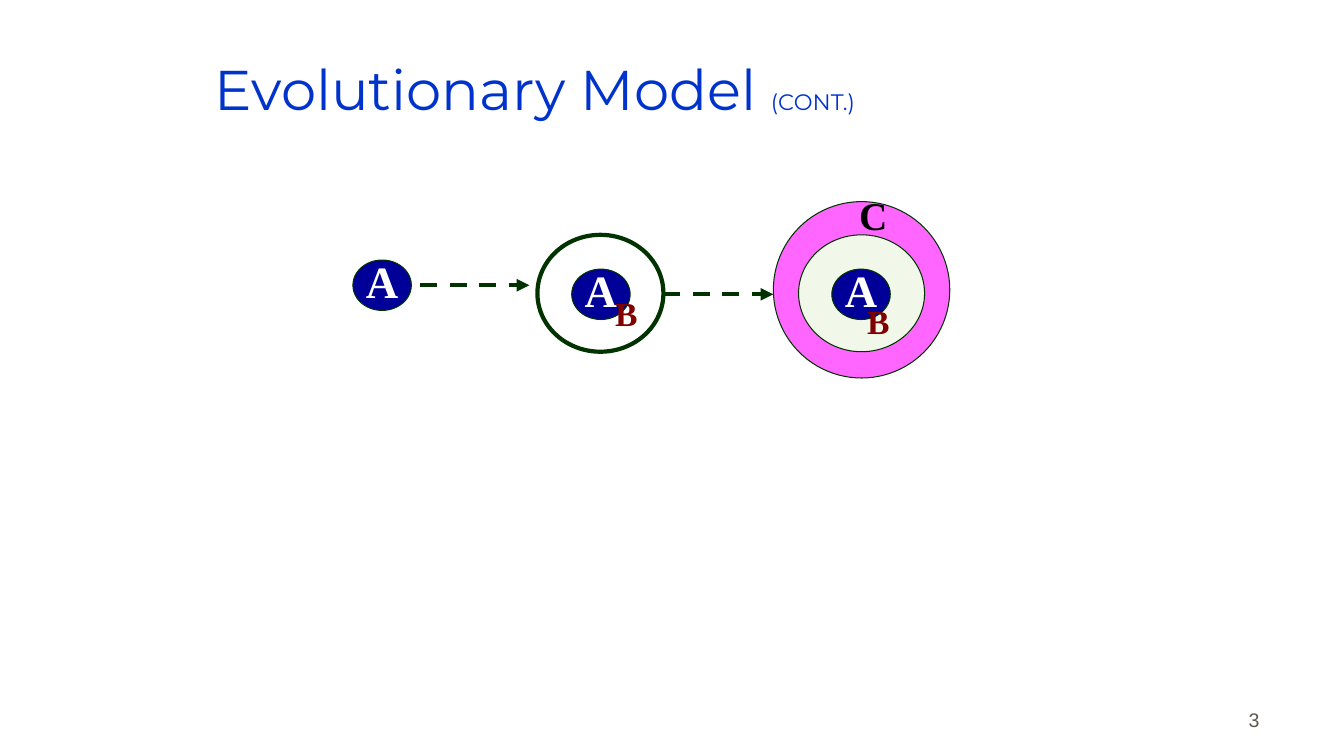
from lxml.etree import SubElement
from pptx import Presentation
from pptx.dml.color import RGBColor
from pptx.enum.dml import MSO_LINE
from pptx.enum.shapes import MSO_CONNECTOR, MSO_SHAPE
from pptx.enum.text import MSO_ANCHOR, MSO_AUTO_SIZE, PP_ALIGN
from pptx.oxml.ns import qn
from pptx.util import Inches, Pt

BLUE = RGBColor(0x00, 0x33, 0xCC)
NAVY = RGBColor(0x00, 0x00, 0x99)
GREEN = RGBColor(0x00, 0x33, 0x00)
PINK = RGBColor(0xFF, 0x66, 0xFF)
CREAM = RGBColor(0xF1, 0xF7, 0xE9)
RED = RGBColor(0x80, 0x00, 0x00)
GRAY = RGBColor(0x5E, 0x57, 0x4E)
BLACK = RGBColor(0x00, 0x00, 0x00)
WHITE = RGBColor(0xFF, 0xFF, 0xFF)

HEAD = "Montserrat"
SANS = "Arial"
SERIF = "Times New Roman"


class Board:
    """Holds the slide and the style of its parts."""

    def __init__(self, deck):
        self.slide = deck.slides.add_slide(deck.slide_layouts[5])
        self.shapes = self.slide.shapes
        self.frame = dict(word_wrap=True, auto_size=MSO_AUTO_SIZE.NONE,
                          margin_left=Inches(0.02), margin_right=Inches(0.02),
                          margin_top=Inches(0.05), margin_bottom=Inches(0.05))

    def letter(self, shape, runs, name, color, bold=False,
               side=PP_ALIGN.LEFT, space=1.0, **extra):
        for key, value in {**self.frame, **extra}.items():
            setattr(shape.text_frame, key, value)
        para = shape.text_frame.paragraphs[0]
        para.alignment, para.line_spacing = side, space
        for text, size in runs:
            run = para.add_run()
            run.text = text
            style = dict(name=name, size=Pt(size), bold=bold)
            for key, value in style.items():
                setattr(run.font, key, value)
            run.font.color.rgb = color

    def title(self, box, runs):
        shape = self.shapes.title
        for key, value in zip(("left", "top", "width", "height"), box):
            setattr(shape, key, Inches(value))
        self.letter(shape, runs, HEAD, BLUE,
                    vertical_anchor=MSO_ANCHOR.MIDDLE)

    def label(self, box, text, size, color, name=SERIF, **style):
        shape = self.shapes.add_textbox(*map(Inches, box))
        self.letter(shape, [(text, size)], name, color, **style)

    def ring(self, box, fill=None, width=0.75):
        shape = self.shapes.add_shape(MSO_SHAPE.OVAL, *map(Inches, box))
        shape.shadow.inherit = False
        if fill is None:
            shape.fill.background()
        else:
            shape.fill.solid()
            shape.fill.fore_color.rgb = fill
        shape.line.color.rgb = GREEN
        shape.line.width = Pt(width)
        return shape

    def core(self, left, top):
        shape = self.ring((left, top, 0.58, 0.5), NAVY)
        self.letter(shape, [("A", 32)], SERIF, WHITE, bold=True,
                    side=PP_ALIGN.CENTER, space=0.85,
                    vertical_anchor=MSO_ANCHOR.MIDDLE)

    def arrow(self, start, end, top):
        link = self.shapes.add_connector(
            MSO_CONNECTOR.STRAIGHT, *map(Inches, (start, top, end, top)))
        style = dict(width=Pt(3), dash_style=MSO_LINE.DASH)
        link.line.color.rgb = GREEN
        for key, value in style.items():
            setattr(link.line, key, value)
        props = link._element.spPr
        SubElement(props.find(qn("a:ln")), qn("a:tailEnd"), type="triangle")
        SubElement(props, qn("a:effectLst"))


def main():
    deck = Presentation()
    deck.slide_width, deck.slide_height = Inches(13.33), Inches(7.5)
    board = Board(deck)

    # Title and page number
    board.title((2.11, 0.25, 8.5, 1.25),
                [("Evolutionary Model ", 40), ("(CONT.)", 16)])
    board.label((9.81, 6.81, 2.78, 0.5), "3", 14, GRAY, SANS,
                side=PP_ALIGN.RIGHT, vertical_anchor=MSO_ANCHOR.BOTTOM,
                margin_right=Inches(0.1))

    # Rings of the second and third versions
    board.ring((7.67, 2, 1.75, 1.75), PINK)
    board.ring((7.92, 2.33, 1.25, 1.16), CREAM)
    board.ring((5.33, 2.33, 1.25, 1.16), width=3)

    # Arrows between versions
    board.arrow(4.17, 5.25, 2.83)
    board.arrow(6.58, 7.67, 2.92)

    # Core of each version
    for left, top in ((3.5, 2.58), (5.67, 2.67), (8.25, 2.67)):
        board.core(left, top)

    # Letters of the added parts
    for left, top, high, text, size, color in (
            (6.08, 2.92, 0.5, "B", 24, RED),
            (8.58, 3, 0.5, "B", 24, RED),
            (8.5, 1.92, 0.57, "C", 28, BLACK)):
        board.label((left, top, 0.41, high), text, size, color,
                    bold=True, space=0.85)

    deck.save("out.pptx")


if __name__ == "__main__":
    main()
